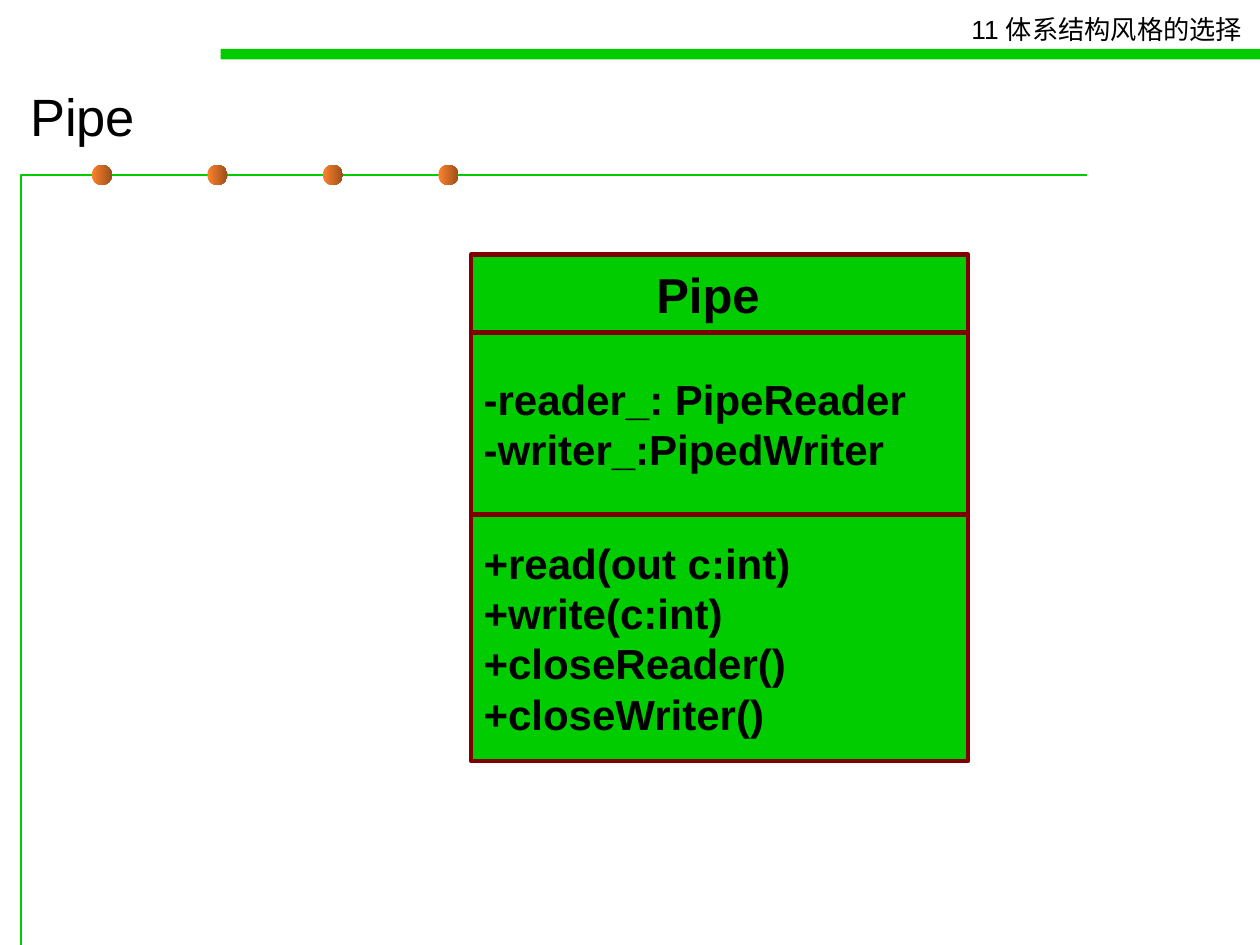
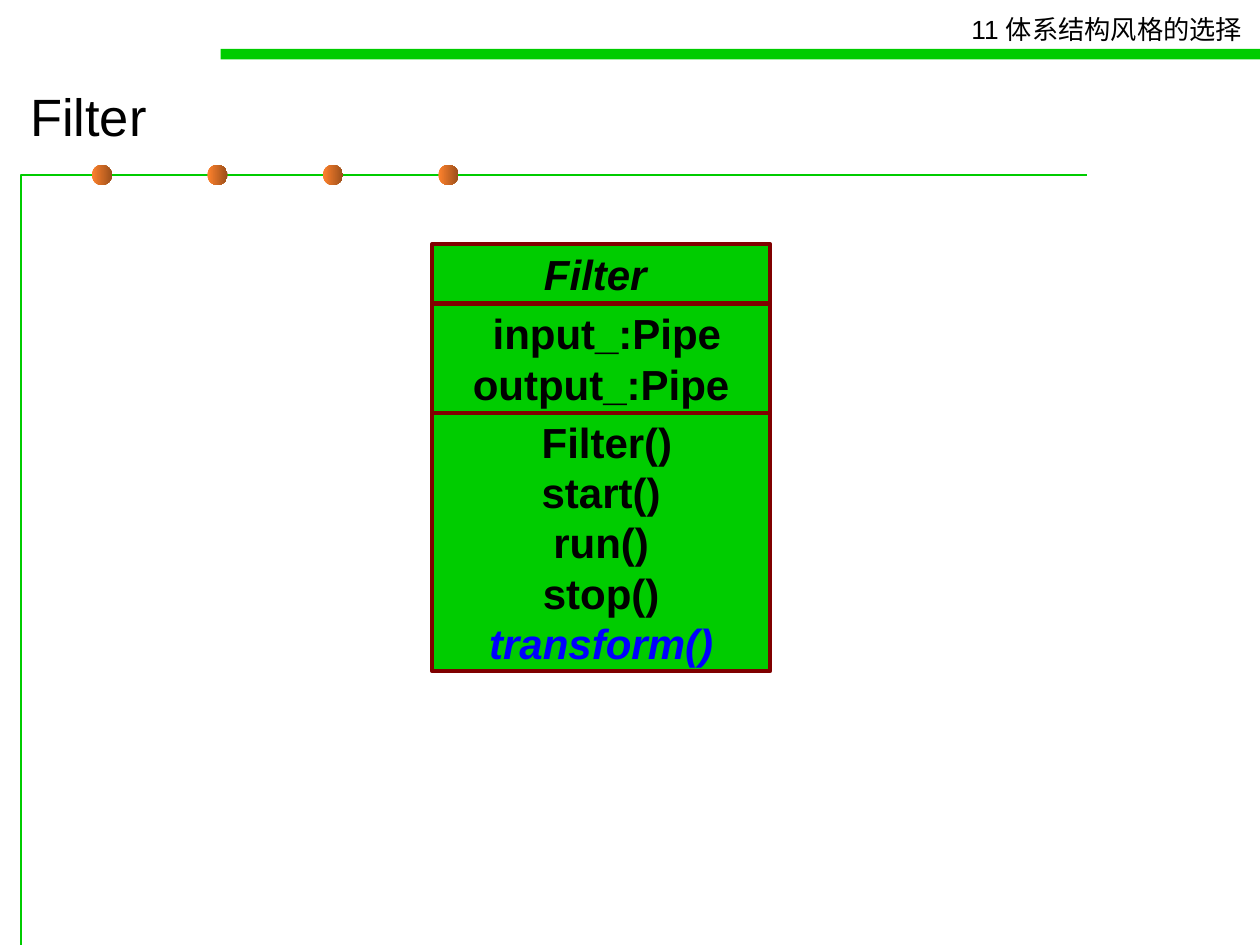
from pptx import Presentation
from pptx.dml.color import RGBColor
from pptx.enum.shapes import MSO_SHAPE
from pptx.enum.text import MSO_ANCHOR, MSO_AUTO_SIZE, PP_ALIGN
from pptx.util import Pt

RECT, OVAL = MSO_SHAPE.RECTANGLE, MSO_SHAPE.OVAL
MIDDLE = MSO_ANCHOR.MIDDLE
LEFT, CENTER = PP_ALIGN.LEFT, PP_ALIGN.CENTER
NO_FIT = MSO_AUTO_SIZE.NONE

GREEN = RGBColor(0x00, 0xCC, 0x00)
MAROON = RGBColor(0x80, 0x00, 0x00)
ORANGE = RGBColor(0xFF, 0x82, 0x2D)
BROWN = RGBColor(0x9B, 0x4F, 0x1B)
BLACK = RGBColor(0x00, 0x00, 0x00)
BLUE = RGBColor(0x00, 0x00, 0xFF)

FONT = "Arial"
TITLE_ONLY = 5
CHAPTER = "11 体系结构风格的选择"
RULE_X, RULE_Y, RULE_END, SLIDE_BOTTOM = 12.25, 100, 621, 540
DOT_X, DOT_STEP, DOT_COUNT, DOT_SIZE = 52.5, 66, 4, 11.5


class Deck:
    def __init__(self):
        self.prs = Presentation()
        self.prs.slide_width, self.prs.slide_height = Pt(720), Pt(540)
        self.slide = None

    def font(self, p, size, color=BLACK, bold=False, italic=False):
        f = p.font
        f.name, f.size, f.bold, f.italic = FONT, Pt(size), bold, italic
        f.color.rgb = color

    def new_slide(self, title):
        layout = self.prs.slide_layouts[TITLE_ONLY]
        self.slide = self.prs.slides.add_slide(layout)
        self.title(title)
        self.corner_rule()
        for i in range(DOT_COUNT):
            self.dot(DOT_X + i * DOT_STEP)
        self.rect(126, 28, 594, 6)
        self.chapter()

    def title(self, text):
        sp = self.slide.shapes.title
        sp.left, sp.top, sp.width, sp.height = Pt(10), Pt(40.25), Pt(669), Pt(51)
        tf = sp.text_frame
        tf.text = text
        tf.auto_size, tf.vertical_anchor = NO_FIT, MIDDLE
        p = tf.paragraphs[0]
        p.alignment = LEFT
        self.font(p, 30)

    def corner_rule(self):
        builder = self.slide.shapes.build_freeform(
            RULE_X, SLIDE_BOTTOM, scale=Pt(1))
        builder.add_line_segments(
            [(RULE_X, RULE_Y), (RULE_END, RULE_Y)], close=False)
        sp = builder.convert_to_shape()
        sp.shadow.inherit = False
        sp.fill.background()
        sp.line.color.rgb, sp.line.width = GREEN, Pt(0.75)

    def dot(self, x):
        sp = self.slide.shapes.add_shape(
            OVAL, Pt(x), Pt(RULE_Y - DOT_SIZE / 2), Pt(DOT_SIZE), Pt(DOT_SIZE))
        sp.shadow.inherit = False
        sp.line.fill.background()
        sp.fill.gradient()
        sp.fill.gradient_angle = 0
        for stop, color, pos in zip(sp.fill.gradient_stops,
                                    (ORANGE, BROWN), (0, 1)):
            stop.color.rgb, stop.position = color, pos

    def rect(self, x, y, w, h):
        sp = self.slide.shapes.add_shape(RECT, Pt(x), Pt(y), Pt(w), Pt(h))
        sp.shadow.inherit = False
        sp.fill.solid()
        sp.fill.fore_color.rgb = GREEN
        sp.line.fill.background()
        return sp

    def chapter(self):
        sp = self.slide.shapes.add_textbox(Pt(548), Pt(4.25), Pt(173.5), Pt(25))
        tf = sp.text_frame
        tf.word_wrap = False
        tf.text = CHAPTER
        self.font(tf.paragraphs[0], 15)

    def compartment(self, x, y, w, h, lines, align=CENTER, size=24):
        """Draw one part of a UML class box and return its text frame."""
        sp = self.rect(x, y, w, h)
        sp.line.color.rgb, sp.line.width = MAROON, Pt(2.5)
        tf = sp.text_frame
        tf.word_wrap, tf.vertical_anchor = False, MIDDLE
        tf.text = "\n".join(lines)
        for p in tf.paragraphs:
            p.alignment = align
            self.font(p, size, bold=True)
        return tf


def pipe_slide(deck):
    deck.new_slide("Pipe")
    x, w = 269.25, 284
    name = deck.compartment(x, 145.5, w, 44.5, ["Pipe"], size=28)
    name.margin_right = Pt(20.5)
    deck.compartment(x, 190, w, 104,
                     ["-reader_: PipeReader", "-writer_:PipedWriter"], LEFT)
    deck.compartment(x, 294, w, 141,
                     ["+read(out c:int)", "+write(c:int)",
                      "+closeReader()", "+closeWriter()"], LEFT)


def filter_slide(deck):
    deck.new_slide("Filter")
    x, w = 247, 193
    name = deck.compartment(x, 139.5, w, 34, ["Filter "])
    name.paragraphs[0].font.italic = True
    deck.compartment(x, 173.5, w, 62.5, [" input_:Pipe", "output_:Pipe"])
    methods = deck.compartment(
        x, 236, w, 147.5,
        [" Filter()", "start()", "run()", "stop()", "transform()"])
    deck.font(methods.paragraphs[-1], 24, BLUE, bold=True, italic=True)


def main():
    deck = Deck()
    pipe_slide(deck)
    filter_slide(deck)
    deck.prs.save("out.pptx")


if __name__ == "__main__":
    main()
